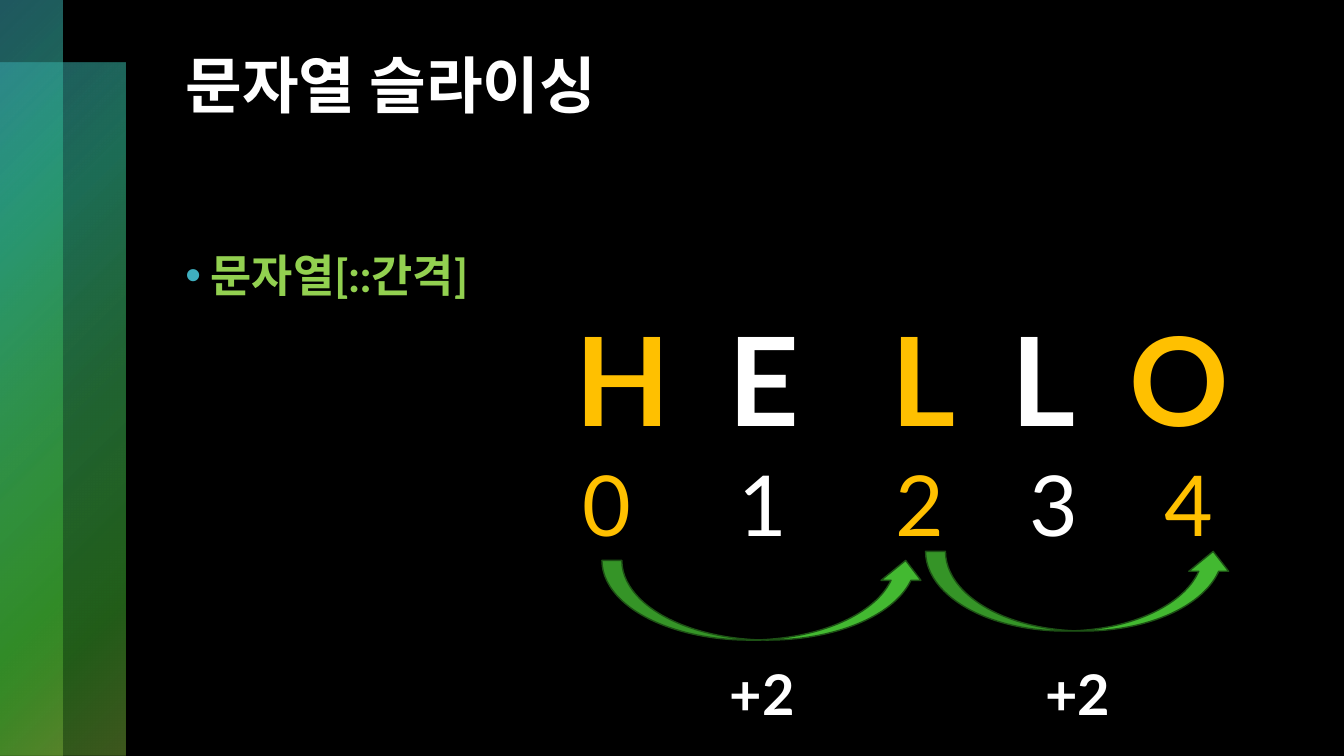
from lxml import etree
from pptx import Presentation
from pptx.dml.color import RGBColor
from pptx.enum import shapes, text
from pptx.oxml import parse_xml
from pptx.oxml.ns import nsdecls, qn
from pptx.util import Inches, Pt

FONT = "Lato"
WHITE, GOLD, LIME, GREEN, TEAL = "FFFFFF", "FFC000", "92D050", "43B931", "3FAFBF"

TITLE = "문자열 슬라이싱"
SYNTAX = "문자열[::간격]"
WORD = "HELLO"
STEP = 2

# Position, colour, opacity (all in percent)
STOPS = [(0, TEAL, 50), (25, "30B58E", 60), (50, "3CB65F", 55),
         (81, GREEN, 50), (99, "7AAF3A", 50)]
BANDS = [(0, 0.62, 1.24, 6.88), (0, 0, 0.62, 7.5)]
# Box, tab stops, items, size, bold
ROWS = [
    ((5.61, 2.96, 7.11, 1.58), (1.52, 3.13, 4.32, 5.49), WORD, 88, True),
    ((5.68, 4.44, 6.68, 1.11), (1.55, 3.1, 4.43, 5.77),
     [str(i) for i in range(len(WORD))], 60, False),
]
# Arrow box, left edge of its label
JUMPS = [((5.97, 5.56, 3.21, 0.79), 7.14), ((9.18, 5.47, 3.05, 0.79), 10.27)]


def rgb(code):
    return RGBColor.from_string(code)


def inches(box):
    return [Inches(v) for v in box]


def write(para, words, size, color=WHITE, bold=False):
    run = para.add_run()
    run.text = words
    font = run.font
    font.name, font.size, font.bold = FONT, Pt(size), bold
    font.color.rgb = rgb(color)


def add_text(slide, box, wrap=True):
    """Add a text box and return its first paragraph."""
    frame = slide.shapes.add_textbox(*inches(box)).text_frame
    frame.word_wrap = wrap
    return frame.paragraphs[0]


def add_band(slide, box):
    band = slide.shapes.add_shape(shapes.MSO_SHAPE.RECTANGLE, *inches(box))
    band.shadow.inherit = False
    band.line.fill.background()
    stops = "".join(
        f'<a:gs pos="{pos * 1000}"><a:srgbClr val="{color}">'
        f'<a:alpha val="{alpha * 1000}"/></a:srgbClr></a:gs>'
        for pos, color, alpha in STOPS)
    grad = parse_xml(
        f'<a:gradFill {nsdecls("a")} rotWithShape="1"><a:gsLst>{stops}</a:gsLst>'
        '<a:path path="circle"><a:fillToRect r="100000" b="100000"/></a:path>'
        '</a:gradFill>')
    band._element.spPr.find(qn("a:prstGeom")).addnext(grad)


def add_bullet(para, color):
    props = para._p.get_or_add_pPr()
    props.set("marL", str(Inches(0.25)))
    props.set("indent", str(-Inches(0.25)))
    tint = etree.SubElement(props, qn("a:buClr"))
    etree.SubElement(tint, qn("a:srgbClr"), val=color)
    etree.SubElement(props, qn("a:buFont"), typeface="Arial")
    etree.SubElement(props, qn("a:buChar"), char="•")


def add_row(slide, box, tabs, items, size, bold):
    """Set items on tab stops, with every STEP-th one in gold."""
    para = add_text(slide, box)
    stops = etree.SubElement(para._p.get_or_add_pPr(), qn("a:tabLst"))
    for pos in tabs:
        etree.SubElement(stops, qn("a:tab"), pos=str(Inches(pos)), algn="l")
    for i, item in enumerate(items):
        write(para, "\t" * (i > 0) + item, size,
              color=WHITE if i % STEP else GOLD, bold=bold)


def add_jump(slide, box, left):
    arrow = slide.shapes.add_shape(shapes.MSO_SHAPE.CURVED_UP_ARROW, *inches(box))
    arrow.shadow.inherit = False
    arrow.fill.solid()
    arrow.fill.fore_color.rgb = rgb(GREEN)
    arrow.line.color.rgb = rgb("1D5115")
    arrow.line.width = Pt(1)
    label = add_text(slide, (left, 6.49, 0.88, 0.77), wrap=False)
    write(label, f"+{STEP}", 40, bold=True)


def main():
    deck = Presentation()
    deck.slide_width, deck.slide_height = Inches(13.33), Inches(7.5)
    slide = deck.slides.add_slide(deck.slide_layouts[5])
    slide.background.fill.solid()
    slide.background.fill.fore_color.rgb = rgb("000000")

    for box in BANDS:
        add_band(slide, box)

    title = slide.shapes.title
    title.left, title.top, title.width, title.height = inches((1.74, 0.5, 10.37, 1.7))
    title.text_frame.vertical_anchor = text.MSO_ANCHOR.TOP
    head = title.text_frame.paragraphs[0]
    head.alignment = text.PP_ALIGN.LEFT
    head.line_spacing = 0.9
    write(head, TITLE, 44, bold=True)

    point = add_text(slide, (1.74, 2.36, 10.37, 4.29))
    add_bullet(point, TEAL)
    point.line_spacing = 1.1
    write(point, SYNTAX, 32, color=LIME, bold=True)

    for row in ROWS:
        add_row(slide, *row)
    for jump in JUMPS:
        add_jump(slide, *jump)
    deck.save("out.pptx")


if __name__ == "__main__":
    main()
